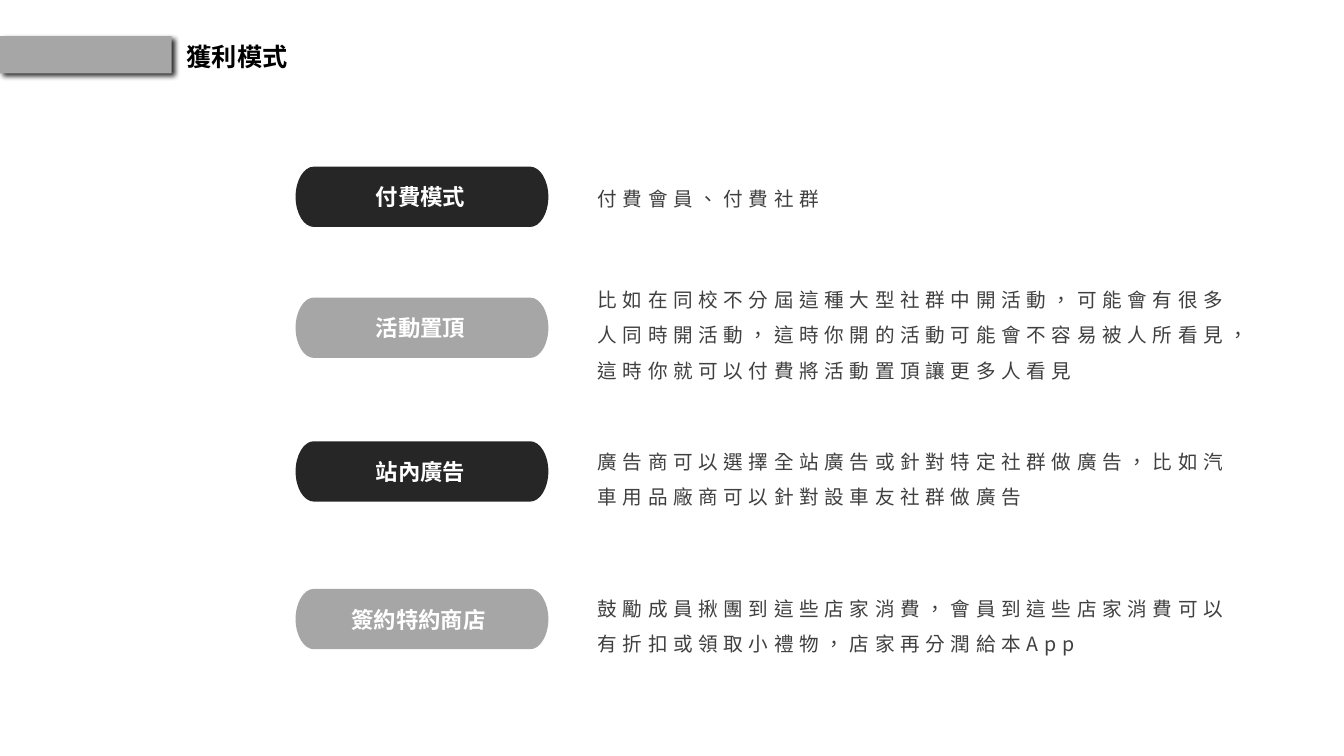
from dataclasses import dataclass

from lxml.etree import SubElement
from pptx import Presentation
from pptx.dml.color import RGBColor
from pptx.enum.shapes import MSO_SHAPE
from pptx.enum.text import MSO_ANCHOR, MSO_AUTO_SIZE, PP_ALIGN
from pptx.oxml.ns import qn
from pptx.shapes.autoshape import Shape
from pptx.shapes.shapetree import GroupShapes
from pptx.slide import Slide
from pptx.text.text import _Paragraph as Paragraph
from pptx.util import Cm, Pt

FONT = "Noto Sans CJK SC"
BLACK = RGBColor(0x00, 0x00, 0x00)
DARK = RGBColor(0x26, 0x26, 0x26)
GREY = RGBColor(0xA6, 0xA6, 0xA6)
BODY = RGBColor(0x40, 0x40, 0x40)
WHITE = RGBColor(0xFF, 0xFF, 0xFF)

PILL_LEFT, PILL_WIDTH, PILL_HEIGHT = Cm(7.45), Cm(6.37), Cm(1.52)
PILL_CAP = Cm(0.46)
CURVE = 0.55
CAP_POINTS = [(0, -1), (CURVE, -1), (1, -CURVE), (1, 0), (1, CURVE), (CURVE, 1), (0, 1)]
CURVE_STARTS = (0, 3, 7, 10)
LABEL_OFFSET, LABEL_HEIGHT = Cm(0.3), Cm(0.94)
DETAIL_LEFT = Cm(14.81)


@dataclass(frozen=True)
class RevenueSource:
    label: str
    label_left: float
    label_width: float
    detail: str
    fill: RGBColor
    pill_top: float
    detail_top: float
    detail_width: float
    detail_height: float


SOURCES = [
    RevenueSource("付費模式", 9.22, 2.79, "付費會員、付費社群", DARK, 4.2, 4.29, 13.39, 1.04),
    RevenueSource(
        "活動置頂", 9.22, 2.79,
        "比如在同校不分屆這種大型社群中開活動，可能會有很多人同時開活動，"
        "這時你開的活動可能會不容易被人所看見，這時你就可以付費將活動置頂讓更多人看見",
        GREY, 7.5, 6.84, 16.81, 2.84,
    ),
    RevenueSource(
        "站內廣告", 9.22, 2.79,
        "廣告商可以選擇全站廣告或針對特定社群做廣告，比如汽車用品廠商可以針對設車友社群做廣告",
        DARK, 11.12, 10.91, 16.43, 1.96,
    ),
    RevenueSource(
        "簽約特約商店", 8.61, 4.01,
        "鼓勵成員揪團到這些店家消費，會員到這些店家消費可以有折扣或領取小禮物，店家再分潤給本App",
        GREY, 14.84, 14.62, 16.43, 1.96,
    ),
]


def style_paragraph(para: Paragraph, size: int, color: RGBColor,
                    bold: bool = False, spacing: int = 0) -> None:
    para.font.size = Pt(size)
    para.font.bold = bold
    para.font.color.rgb = color
    para.font.name = FONT
    properties = para._p.pPr.find(qn("a:defRPr"))
    properties.set("lang", "zh-TW")
    properties.set("spc", str(spacing * 100))
    SubElement(properties, qn("a:ea"), typeface=FONT)


def fill_frame(box: Shape, text: str, wrap: bool) -> Paragraph:
    frame = box.text_frame
    frame.text = text
    frame.word_wrap = wrap
    frame.auto_size = MSO_AUTO_SIZE.SHAPE_TO_FIT_TEXT
    frame.vertical_anchor = MSO_ANCHOR.TOP
    return frame.paragraphs[0]


def paint(shape: Shape, color: RGBColor) -> None:
    shape.shadow.inherit = False
    shape.fill.solid()
    shape.fill.fore_color.rgb = color
    shape.line.fill.background()


def add_title(page: Slide) -> None:
    title = page.shapes.title
    title.left, title.top, title.width, title.height = Cm(4.45), Cm(0.91), Cm(3.07), Cm(1.02)
    para = fill_frame(title, "獲利模式", wrap=False)
    para.alignment = PP_ALIGN.LEFT
    para.line_spacing = 1.0
    para.space_before = Pt(0)
    style_paragraph(para, 18, BLACK, bold=True)


def add_title_bar(page: Slide) -> None:
    bar = page.shapes.add_shape(MSO_SHAPE.RECTANGLE, Cm(0), Cm(0.91), Cm(4.33), Cm(0.94))
    paint(bar, GREY)
    effects = bar._element.spPr.find(qn("a:effectLst"))
    shadow = SubElement(effects, qn("a:outerShdw"), blurRad=str(Pt(4)), dist=str(Pt(3)),
                        dir="2700000", algn="tl", rotWithShape="0")
    tint = SubElement(shadow, qn("a:srgbClr"), val="000000")
    SubElement(tint, qn("a:alpha"), val="84000")


def curve_ends(pill: Shape) -> None:
    outline = next(pill._element.iter(qn("a:path")))
    lines = outline.findall(qn("a:lnTo"))
    for start in CURVE_STARTS:
        curve = SubElement(outline, qn("a:cubicBezTo"))
        lines[start].addprevious(curve)
        for line in lines[start:start + 3]:
            curve.append(line[0])
            outline.remove(line)


def add_pill(shapes: GroupShapes, source: RevenueSource) -> None:
    middle = Cm(source.pill_top) + PILL_HEIGHT / 2
    ends = ((1, PILL_LEFT + PILL_WIDTH - PILL_CAP), (-1, PILL_LEFT + PILL_CAP))
    outline = [
        (round(center + side * PILL_CAP * x), round(middle + side * PILL_HEIGHT / 2 * y))
        for side, center in ends
        for x, y in CAP_POINTS
    ]
    builder = shapes.build_freeform(*outline[0])
    builder.add_line_segments(outline[1:], close=True)
    pill = builder.convert_to_shape()
    curve_ends(pill)
    paint(pill, source.fill)


def add_label(shapes: GroupShapes, source: RevenueSource) -> None:
    box = shapes.add_textbox(Cm(source.label_left), Cm(source.pill_top) + LABEL_OFFSET,
                             Cm(source.label_width), LABEL_HEIGHT)
    para = fill_frame(box, source.label, wrap=False)
    style_paragraph(para, 16, WHITE, bold=True)


def add_detail(page: Slide, source: RevenueSource) -> None:
    box = page.shapes.add_textbox(DETAIL_LEFT, Cm(source.detail_top),
                                  Cm(source.detail_width), Cm(source.detail_height))
    para = fill_frame(box, source.detail, wrap=True)
    para.line_spacing = 1.5
    style_paragraph(para, 14, BODY, spacing=4)


def main() -> None:
    """Build the revenue model slide and save it."""
    deck = Presentation()
    deck.slide_width, deck.slide_height = Cm(33.87), Cm(19.05)
    page = deck.slides.add_slide(deck.slide_layouts[5])
    add_title_bar(page)
    add_title(page)
    for source in SOURCES:
        group = page.shapes.add_group_shape()
        add_pill(group.shapes, source)
        add_label(group.shapes, source)
        add_detail(page, source)
    deck.save("out.pptx")


if __name__ == "__main__":
    main()
